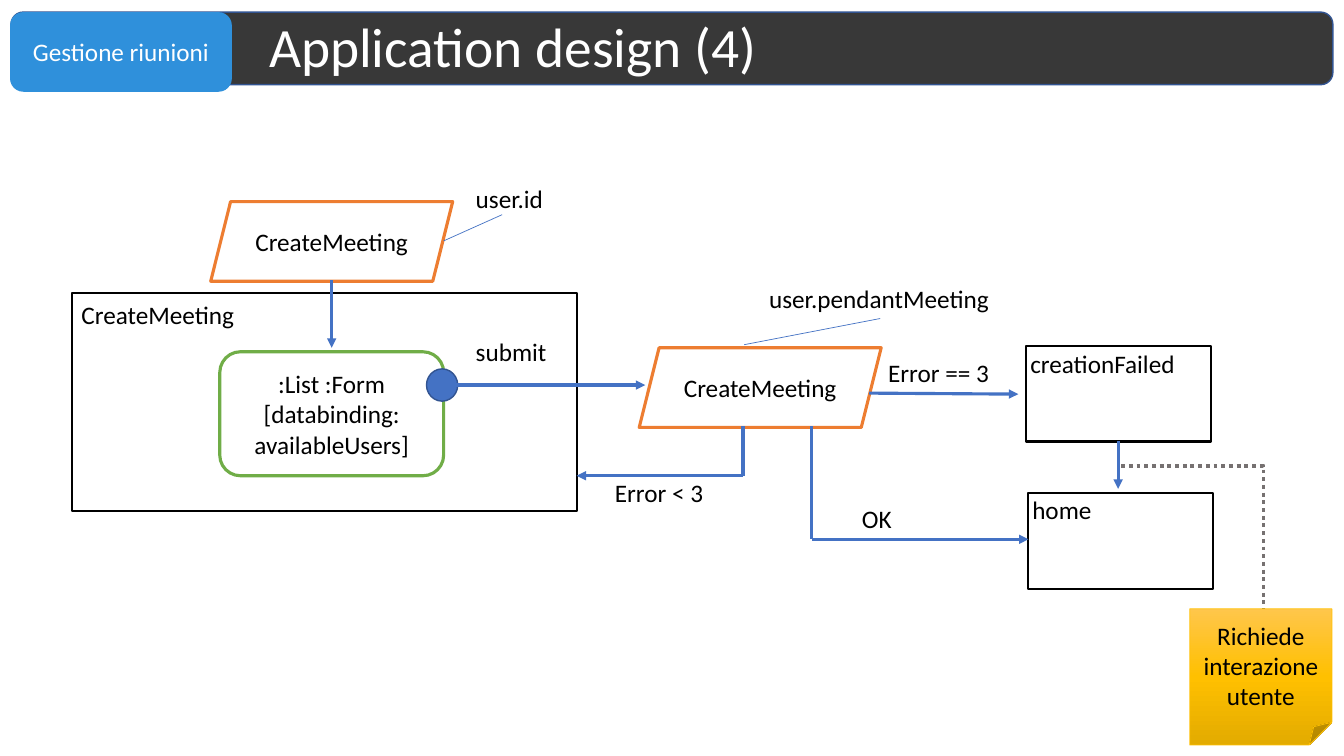
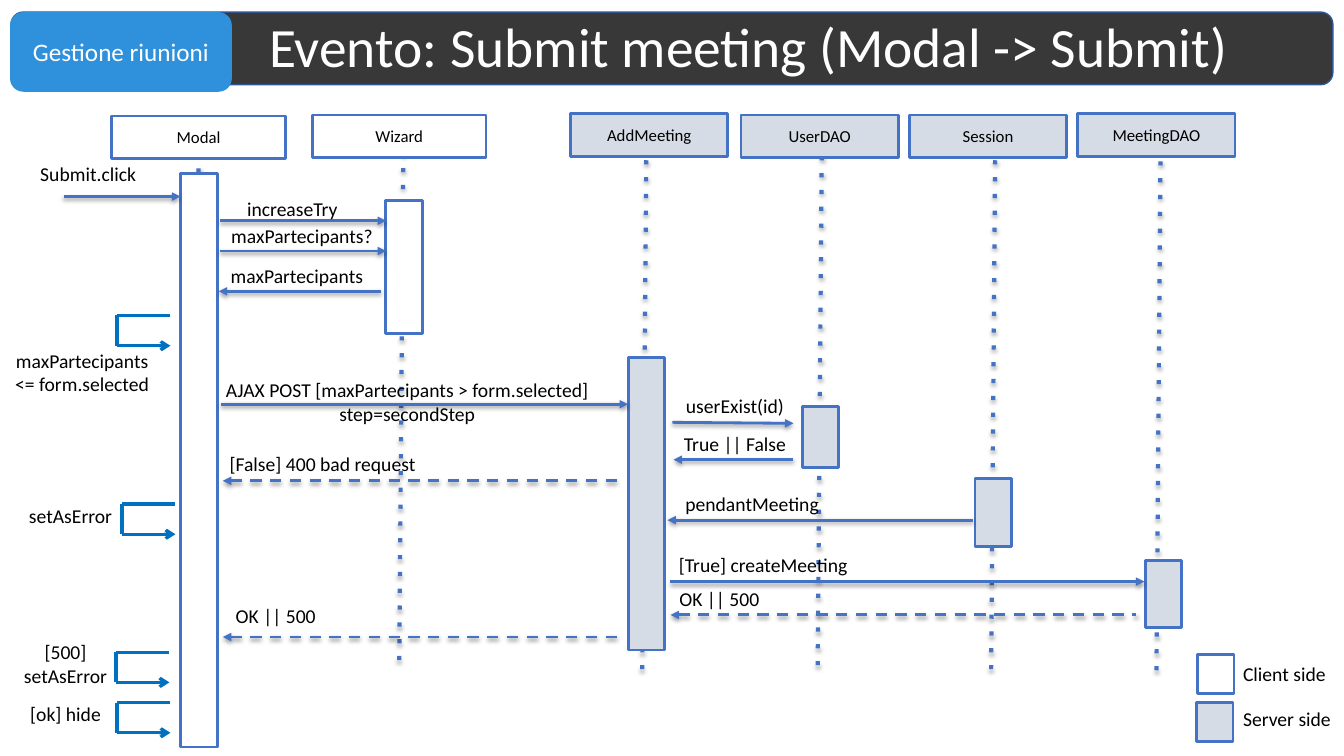
"""Build two slides on meeting management: a page flow and a sequence diagram."""
from copy import deepcopy
from dataclasses import dataclass
from itertools import pairwise

from pptx import Presentation
from pptx.dml.color import RGBColor
from pptx.enum.shapes import MSO_CONNECTOR as Route, MSO_SHAPE as Form
from pptx.enum.text import MSO_ANCHOR as Anchor, PP_ALIGN as Align
from pptx.oxml.ns import qn
from pptx.oxml.xmlchemy import OxmlElement
from pptx.util import Inches, Pt


@dataclass(frozen=True)
class Theme:
    font: str = "Calibri"
    title: float = 39.6
    body: int = 18
    message: int = 14
    header: int = 12
    white: str = "FFFFFF"
    black: str = "000000"
    band: str = "383838"
    tab: str = "2F90DB"
    blue: str = "4472C4"
    edge: str = "325491"
    action: str = "ED7D31"
    form: str = "70AD47"
    server: str = "D6DCE5"
    self_call: str = "0070C0"
    link: str = "767171"
    note: tuple = ("FFC64B", "FFC000", "E3AB00")


theme = Theme()


def block(slide, box, text="", form=None, fill=None, line=None, weight=1.5, size=theme.body,
          color=theme.black, align=Align.CENTER, anchor=Anchor.MIDDLE, wrap=True, insets=(0.1, 0.05)):
    frame = [Inches(length) for length in box]
    item = slide.shapes.add_shape(form, *frame) if form else slide.shapes.add_textbox(*frame)
    if form:
        item.shadow.inherit = False
        if fill:
            item.fill.solid()
            item.fill.fore_color.rgb = RGBColor.from_string(fill)
        if line:
            item.line.color.rgb = RGBColor.from_string(line)
            item.line.width = Pt(weight)
        else:
            item.line.fill.background()
    body = item.text_frame
    body.word_wrap = wrap
    body.vertical_anchor = anchor
    body.margin_left = body.margin_right = Inches(insets[0])
    body.margin_top = body.margin_bottom = Inches(insets[1])
    for index, words in enumerate(text.split("\n") if text else []):
        paragraph = body.add_paragraph() if index else body.paragraphs[0]
        paragraph.alignment = align
        run = paragraph.add_run()
        run.text = words
        run.font.size = Pt(size)
        run.font.name = theme.font
        run.font.color.rgb = RGBColor.from_string(color)
    return item


def wire(slide, start, end, color=theme.blue, weight=2.25, dash=None, head=None, tail=None,
         shadow=None, route=Route.STRAIGHT):
    link = slide.shapes.add_connector(route, *(Inches(length) for length in (*start, *end)))
    link.line.color.rgb = RGBColor.from_string(color)
    link.line.width = Pt(weight)
    stroke = link.line._get_or_add_ln()
    for tag, key, value in (("a:prstDash", "val", dash), ("a:headEnd", "type", head), ("a:tailEnd", "type", tail)):
        if value:
            part = OxmlElement(tag)
            part.set(key, value)
            stroke.append(part)
    effects = OxmlElement("a:effectLst")
    link._element.spPr.append(effects)
    if shadow:
        opacity, distance = shadow
        cast = OxmlElement("a:outerShdw")
        for key, value in (("blurRad", Pt(3.1)), ("dist", Pt(distance)), ("dir", 5400000), ("rotWithShape", 0)):
            cast.set(key, str(value))
        tint = OxmlElement("a:srgbClr")
        tint.set("val", theme.black)
        alpha = OxmlElement("a:alpha")
        alpha.set("val", str(opacity * 1000))
        tint.append(alpha)
        cast.append(tint)
        effects.append(cast)
    return link


deck = Presentation()
deck.slide_width, deck.slide_height = Inches(13.33), Inches(7.5)
pages = []
for title in ("Application design (4)", "Evento: Submit meeting (Modal -> Submit)"):
    page = deck.slides.add_slide(deck.slide_layouts[6])
    block(page, (0.11, 0.12, 13.11, 0.72), form=Form.ROUNDED_RECTANGLE, fill=theme.band, line=theme.edge, weight=1)
    block(page, (0.1, 0.12, 2.2, 0.79), "Gestione riunioni", Form.ROUNDED_RECTANGLE, theme.tab, color=theme.white)
    heading = block(page, (2.57, 0.12, 10.63, 0.74), title, size=theme.title, color=theme.white, align=Align.LEFT)
    heading.text_frame.paragraphs[0].line_spacing = 0.9
    pages.append(page)
flow, sequence = pages

for view in ((0.71, 2.91, 5.01, 2.16), (10.18, 3.43, 1.83, 0.95), (10.2, 4.89, 1.83, 0.95)):
    block(flow, view, form=Form.RECTANGLE, fill=theme.white, line=theme.black)
block(flow, (2.18, 3.49, 2.22, 1.23), ":List :Form\n[databinding: availableUsers]", Form.ROUNDED_RECTANGLE,
      theme.white, theme.form, 2.25)
for left, top in ((2.09, 2), (6.34, 3.45)):
    block(flow, (left, top, 2.4, 0.79), "CreateMeeting", Form.PARALLELOGRAM, theme.white, theme.action, 2.25)
block(flow, (4.23, 3.66, 0.31, 0.32), form=Form.OVAL, fill=theme.blue, line=theme.edge, weight=1)

for start, end in (((4.98, 2.13), (4.4, 2.39)), ((8.73, 3.16), (7.38, 3.42))):
    wire(flow, start, end, weight=0.5)
for *bends, start, end in (
    ((3.29, 2.78), (3.29, 3.45)),
    ((4.49, 3.82), (6.4, 3.82)),
    ((7.37, 4.23), (7.37, 4.72), (5.72, 4.72)),
    ((8.62, 3.9), (10.1, 3.91)),
    ((8.05, 4.23), (8.05, 5.35), (10.2, 5.35)),
    ((11.09, 4.38), (11.09, 4.85)),
):
    for bend in bends:
        wire(flow, bend, start)
    wire(flow, start, end, tail="triangle")

for left, top, width, label in (
    (0.71, 2.92, 1.73, "CreateMeeting"),
    (4.62, 1.77, 0.88, "user.id"),
    (4.62, 3.29, 0.91, "submit"),
    (6, 4.69, 1.09, "Error < 3"),
    (7.53, 2.76, 2.41, "user.pendantMeeting"),
    (8.71, 3.5, 1.21, "Error == 3"),
    (8.45, 4.94, 0.5, "OK"),
    (10.12, 3.41, 1.65, "creationFailed"),
    (10.14, 4.85, 0.8, "home"),
):
    block(flow, (left, top, width, 0.4), label, align=Align.LEFT, anchor=Anchor.TOP, wrap=False)

note_link = wire(flow, (11.12, 4.62), (13.09, 6.35), theme.link, 2.75, "sysDot", route=Route.ELBOW)
bend_guide = OxmlElement("a:gd")
bend_guide.set("name", "adj1")
bend_guide.set("fmla", "val 71700")
note_link._element.spPr.find(".//" + qn("a:avLst")).append(bend_guide)

note = block(flow, (11.8, 6.04, 1.41, 1.35), "Richiede interazione utente", Form.FOLDED_CORNER,
             line=theme.note[1], weight=0.5)
note.fill.gradient()
note.fill.gradient_angle = 270
stops = note._element.spPr.find(".//" + qn("a:gsLst"))
stops.append(deepcopy(stops[0]))
for index, (stop, color) in enumerate(zip(note.fill.gradient_stops, theme.note)):
    stop.position = index / 2
    stop.color.rgb = RGBColor.from_string(color)

participants = (
    ("Modal", (1.11, 1.15, 1.72), theme.white, (1.97, 1.67), (1.79, 1.72, 0.37, 5.69)),
    ("Wizard", (3.1, 1.14, 1.72), theme.white, (4, 1.5), (3.82, 1.99, 0.37, 1.32)),
    ("AddMeeting", (5.66, 1.13, 1.56), theme.server, (6.41, 1.59), (6.23, 3.55, 0.36, 2.9)),
    ("UserDAO", (7.35, 1.14, 1.56), theme.server, (8.15, 1.55), (7.96, 4.03, 0.36, 0.61)),
    ("Session", (9.02, 1.14, 1.56), theme.server, (9.87, 1.59), (9.67, 4.75, 0.36, 0.67)),
    ("MeetingDAO", (10.69, 1.13, 1.56), theme.server, (11.51, 1.6), (11.36, 5.56, 0.36, 0.67)),
)
for name, header, side, (x, y), activation in participants:
    wire(sequence, (x, y), (x - 0.04, y + 5.07), weight=3, dash="dot", shadow=(35, 1.8))
    block(sequence, (*header, 0.42), name, Form.RECTANGLE, side, theme.blue, 2, theme.header, insets=(0.12, 0.06))
    block(sequence, activation, form=Form.RECTANGLE, fill=side, line=theme.blue, weight=2)

for start, end in (
    ((0.63, 1.95), (1.79, 1.95)),
    ((2.18, 2.19), (3.83, 2.19)),
    ((2.18, 2.49), (3.83, 2.49)),
    ((3.78, 2.89), (2.17, 2.89)),
    ((2.19, 4.01), (6.23, 4.01)),
    ((6.67, 4.19), (7.87, 4.2)),
    ((7.87, 4.56), (6.68, 4.56)),
    ((9.65, 5.16), (6.62, 5.16)),
    ((6.65, 5.77), (11.35, 5.77)),
):
    wire(sequence, start, end, weight=2, tail="triangle", shadow=(38, 1.6))
for left, right, y in ((2.21, 6.16, 4.77), (6.65, 11.27, 6.1), (2.21, 6.16, 6.32)):
    wire(sequence, (left, y), (right, y), weight=2, dash="dash", head="triangle", shadow=(38, 1.6))
for left, top in ((1.16, 3.13), (1.21, 5), (1.15, 6.47), (1.16, 6.97)):
    right, bottom = left + 0.53, top + 0.3
    corners = ((right, top), (left, top), (left, bottom), (right, bottom))
    for start, end in pairwise(corners):
        wire(sequence, start, end, theme.self_call, tail="arrow" if end == corners[-1] else None)

for left, top, width, label in (
    (0.25, 1.55, 1.25, "Submit.click"),
    (2.17, 1.89, 1.46, "increaseTry"),
    (2.15, 2.16, 1.69, "maxPartecipants?"),
    (2.13, 2.56, 1.63, "maxPartecipants"),
    (0, 3.4, 1.63, "maxPartecipants\n<= form.selected"),
    (1.97, 3.69, 4.14, "AJAX POST [maxPartecipants > form.selected]\nstep=secondStep"),
    (6.61, 3.85, 1.36, "userExist(id)"),
    (6.61, 4.23, 1.36, "True || False"),
    (2.15, 4.42, 2.1, "[False] 400 bad request"),
    (0.14, 4.94, 1.12, "setAsError"),
    (6.62, 4.82, 1.68, "pendantMeeting"),
    (6.52, 5.43, 2.1, "[True] createMeeting"),
    (6.5, 5.76, 1.27, "OK || 500"),
    (2.1, 5.93, 1.27, "OK || 500"),
    (0.09, 6.29, 1.12, "[500]\nsetAsError"),
    (0.09, 6.9, 1.12, "[ok] hide"),
):
    block(sequence, (left, top, width, 0.3), label, size=theme.message, anchor=Anchor.TOP, insets=(0.12, 0.06))

for left, top, side, label_top, label in (
    (11.88, 6.49, theme.white, 6.52, "Client side"),
    (11.87, 6.97, theme.server, 6.96, "Server side"),
):
    block(sequence, (left, top, 0.36, 0.39), form=Form.RECTANGLE, fill=side, line=theme.blue, weight=2)
    block(sequence, (12.23, label_top, 1.08, 0.34), label, size=theme.message, align=Align.LEFT,
          anchor=Anchor.TOP, wrap=False)

deck.save("out.pptx")
